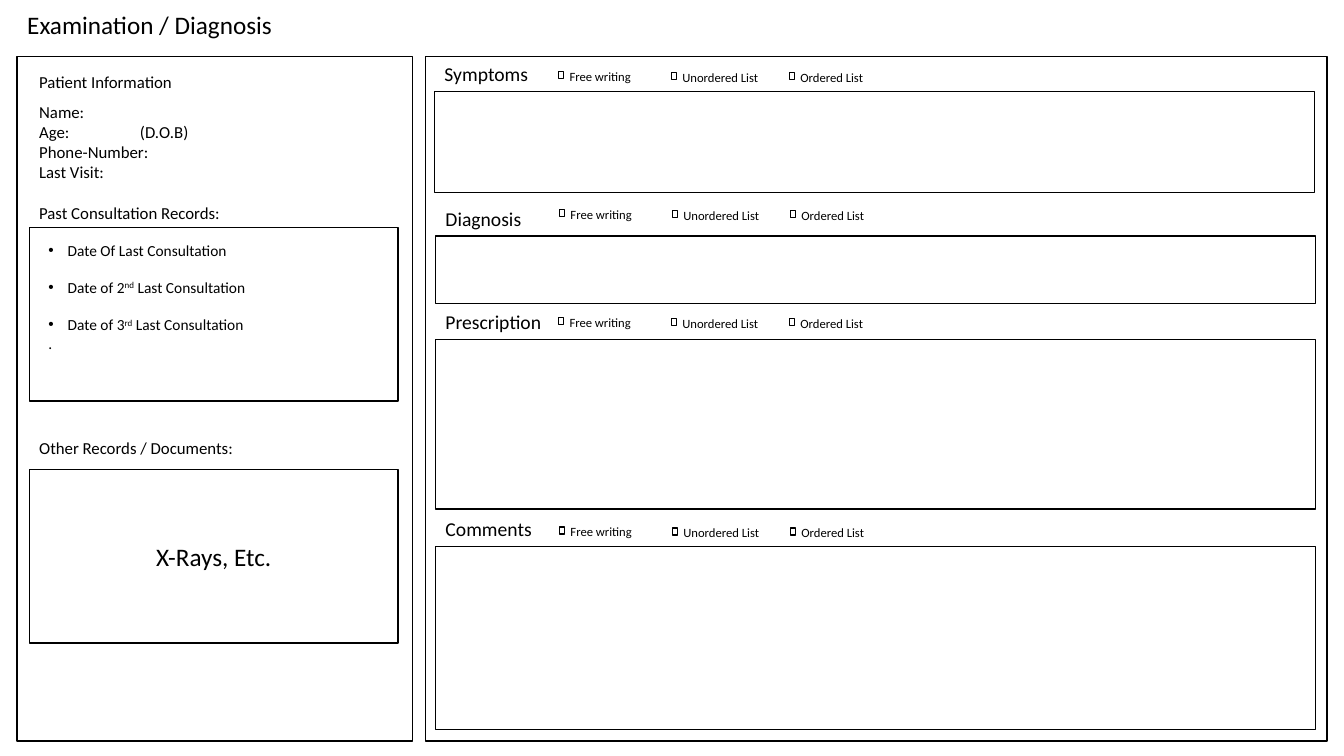
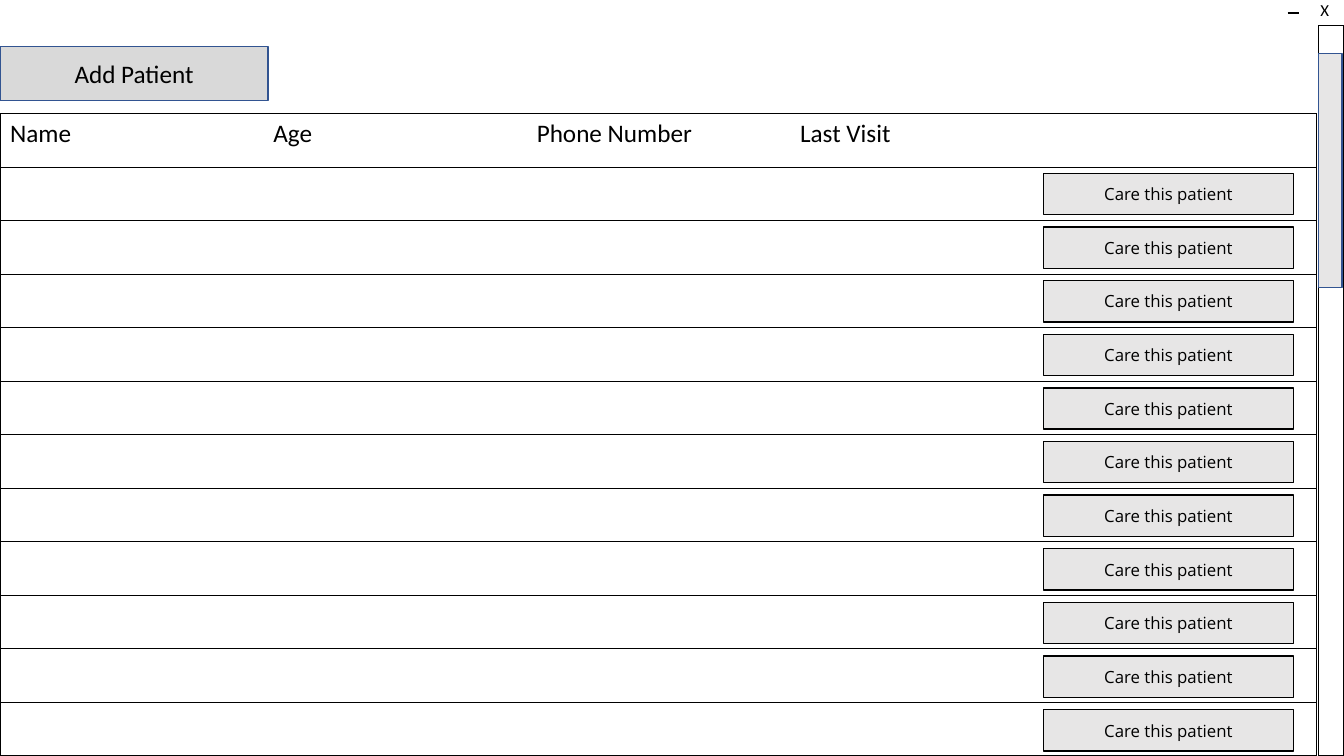
from lxml.etree import SubElement
from pptx import Presentation
from pptx.dml.color import RGBColor
from pptx.enum.shapes import MSO_CONNECTOR, MSO_SHAPE
from pptx.enum.text import MSO_ANCHOR, MSO_AUTO_SIZE, PP_ALIGN
from pptx.oxml.ns import qn
from pptx.util import Inches, Pt

INK, PAPER, GREY, PALE, BLUE = "000000", "FFFFFF", "D9D9D9", "E7E6E6", "325491"


def paint(code):
    """Turn a hex string into a colour."""
    return RGBColor.from_string(code)


def place(shape, left, top, width, height):
    """Move and size a shape in inches."""
    shape.left, shape.top = Inches(left), Inches(top)
    shape.width, shape.height = Inches(width), Inches(height)


class Deck:
    """Hold the shared style and the current slide."""

    def __init__(self):
        """Start a wide deck."""
        self.show = Presentation()
        self.show.slide_width, self.show.slide_height = Inches(13.33), Inches(7.5)
        self.slide = None

    def page(self, layout):
        """Add a slide and make it current."""
        self.slide = self.show.slides.add_slide(self.show.slide_layouts[layout])

    def run(self, para, text, size, font="Calibri", base=0):
        """Add one styled run."""
        run = para.add_run()
        run.text = text
        run.font.size, run.font.name = Pt(size), font
        run.font.color.rgb = paint(INK)
        if base:
            run.font._element.set("baseline", str(base * 1000))

    def frame(self, shape, middle=False):
        """Set wrapping and anchor, and return the text frame."""
        frame = shape.text_frame
        frame.word_wrap, frame.auto_size = True, MSO_AUTO_SIZE.NONE
        frame.vertical_anchor = MSO_ANCHOR.MIDDLE if middle else MSO_ANCHOR.TOP
        return frame

    def title(self, text, spot, size=18):
        """Fill the title placeholder."""
        shape = self.slide.shapes.title
        place(shape, *spot)
        para = self.frame(shape).paragraphs[0]
        para.alignment = PP_ALIGN.LEFT
        self.run(para, text, size)

    def text(self, lines, spot, size, middle=False, gap=0, tab=0):
        """Add a text box; gap precedes the last line."""
        frame = self.frame(self.slide.shapes.add_textbox(*map(Inches, spot)), middle)
        for i, line in enumerate(lines):
            para = frame.paragraphs[0] if i == 0 else frame.add_paragraph()
            if middle:
                para.alignment = PP_ALIGN.CENTER
            if tab and "\t" in line:
                stops = SubElement(para._p.get_or_add_pPr(), qn("a:tabLst"))
                SubElement(stops, qn("a:tab"), pos=str(Inches(tab)), algn="l")
            self.run(para, line, size)
        if gap:
            para.space_before = Pt(gap)

    def bullets(self, items, end, spot, size, gap):
        """Fill the body placeholder with a list and a plain last line."""
        body = self.slide.placeholders[1]
        body.element.getparent().append(body.element)
        place(body, *spot)
        frame = self.frame(body)
        for i, item in enumerate(items + [[(end, 0)]]):
            para = frame.paragraphs[0] if i == 0 else frame.add_paragraph()
            last = i == len(items)
            para.space_before = Pt(0 if last or i == 0 else gap)
            props = para._p.get_or_add_pPr()
            dent = 0 if last else Inches(0.19)
            props.set("marL", str(dent))
            props.set("indent", str(-dent))
            if last:
                SubElement(props, qn("a:buNone"))
            else:
                SubElement(props, qn("a:buFont"), typeface="Arial")
                SubElement(props, qn("a:buChar"), char="•")
            for part, base in item:
                self.run(para, part, size, base=base)

    def box(self, spot, fill=PAPER, line=INK, text="", size=18, font="Calibri"):
        """Add a bordered rectangle with optional centred text."""
        shape = self.slide.shapes.add_shape(MSO_SHAPE.RECTANGLE, *map(Inches, spot))
        shape.shadow.inherit = False
        shape.fill.solid()
        shape.fill.fore_color.rgb = paint(fill)
        shape.line.color.rgb, shape.line.width = paint(line), Pt(1)
        if text:
            para = self.frame(shape, True).paragraphs[0]
            para.alignment = PP_ALIGN.CENTER
            self.run(para, text, size, font)

    def rule(self, start, end, width):
        """Draw a straight line."""
        line = self.slide.shapes.add_connector(
            MSO_CONNECTOR.STRAIGHT, *map(Inches, start + end))
        line.line.color.rgb, line.line.width = paint(INK), Pt(width)
        SubElement(line.element.spPr, qn("a:effectLst"))

    def edge(self, cell, sides):
        """Draw the named cell borders and clear the others."""
        props = cell._tc.get_or_add_tcPr()
        for side in "LRTB":
            line = SubElement(props, qn("a:ln" + side), w=str(Pt(1)))
            if side in sides:
                fill = SubElement(line, qn("a:solidFill"))
                SubElement(fill, qn("a:srgbClr"), val=INK)
            else:
                SubElement(line, qn("a:noFill"))

    def table(self, heads, rows, spot, size=18):
        """Add a ruled table with a heading row."""
        cols = len(heads)
        table = self.slide.shapes.add_table(rows, cols, *map(Inches, spot)).table
        table.first_row = table.horz_banding = False
        for r in range(rows):
            for c in range(cols):
                cell = table.cell(r, c)
                self.edge(cell, "TB" + "L" * (c == 0) + "R" * (c == cols - 1))
                cell.fill.background()
                if r == 0 and heads[c]:
                    self.run(cell.text_frame.paragraphs[0], heads[c], size)

    def ticks(self, left, top):
        """Add the row of writing mode check boxes."""
        modes = [("Free writing", 0, 0, 0.89), ("Unordered List", 1.12, 0.01, 1.16),
                 ("Ordered List", 2.29, 0.01, 1.16)]
        for name, dx, dy, width in modes:
            x, y = left + dx, top + dy
            self.box((x, y, 0.05, 0.07))
            self.text([name], (x + 0.01, y - 0.08, width, 0.25), 9)


deck = Deck()

deck.page(1)
deck.title("Examination / Diagnosis", (0.17, 0.04, 4.85, 0.4))
deck.box((0.17, 0.56, 3.92, 6.79))
deck.text(["Patient Information"], (0.29, 0.66, 3.16, 0.3), 12)
deck.text(["Name:", "Age: \t(D.O.B)", "Phone-Number:", "Last Visit:",
           "Past Consultation Records:"], (0.29, 0.96, 3.16, 1.72), 12, gap=14.65, tab=1)
deck.box((0.29, 2.26, 3.66, 1.72))
deck.bullets([[("Date Of Last Consultation", 0)],
              [("Date of 2", 0), ("nd", 30), (" Last Consultation", 0)],
              [("Date of 3", 0), ("rd", 30), (" Last Consultation", 0)]],
             ".", (0.38, 2.34, 2.62, 1.21), 11, 13.4)
deck.box((0.29, 4.66, 3.66, 1.72), text="X-Rays, Etc.")
deck.text(["Other Records / Documents:"], (0.29, 4.29, 2.19, 0.3), 12)

deck.box((4.22, 0.56, 8.94, 6.79))
parts = [("Symptoms", 4.31, 0.57, 1, 5.54, 0.71), ("Diagnosis", 4.32, 2, 0.67, 5.55, 2.08),
         ("Prescription", 4.32, 3.03, 1.68, 5.54, 3.15),
         ("Comments", 4.32, 5.08, 1.82, 5.55, 5.23)]
for name, left, top, height, x, y in parts:
    deck.text([name], (left, top, 8.64, 0.34), 14)
    deck.box((left, top + 0.34, 8.73, height))
    deck.ticks(x, y)

deck.page(6)
deck.text(["X"], (12.89, 0.01, 0.5, 0.18), 12, middle=True)
deck.rule((12.77, 0.13), (12.88, 0.13), 1.5)
deck.table(["Name", "Age", "Phone Number", "Last Visit", ""], 12, (0, 1.13, 13.06, 6.37))
deck.box((0, 0.46, 2.66, 0.54), GREY, BLUE, "Add Patient")
deck.box((13.08, 0.25, 0.25, 7.25))
deck.box((13.08, 0.53, 0.23, 2.32), PALE, BLUE)
first, last, count = 1.72, 7.04, 11
for i in range(count):
    top = first + i * (last - first) / (count - 1)
    deck.box((10.35, top, 2.48, 0.41), PALE, INK, "Care this patient", 12, "Open Sans")

deck.show.save("out.pptx")
